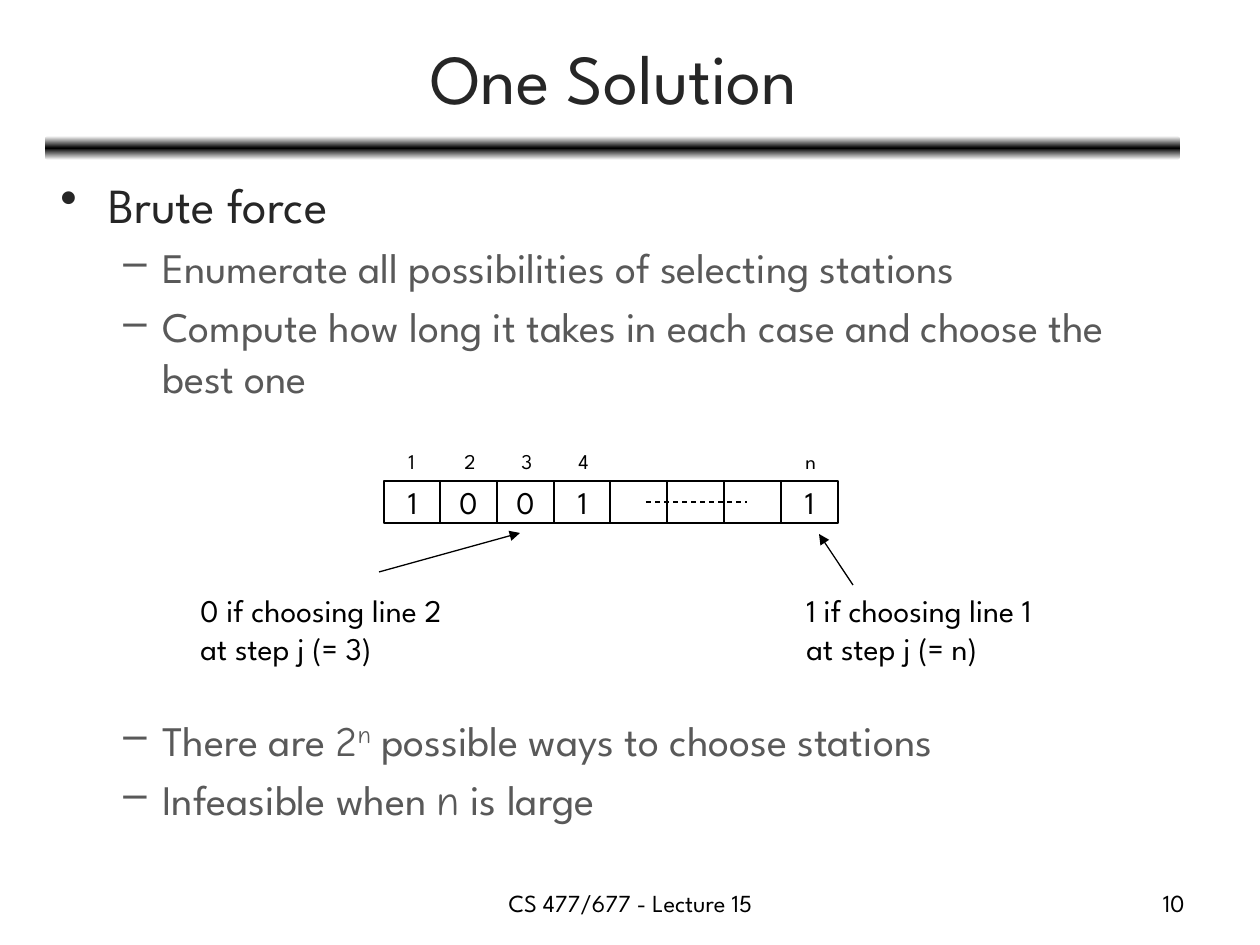
from lxml.etree import SubElement
from pptx import Presentation
from pptx.dml.color import RGBColor
from pptx.enum.dml import MSO_LINE
from pptx.enum.shapes import MSO_CONNECTOR, MSO_SHAPE
from pptx.enum.text import MSO_ANCHOR, PP_ALIGN
from pptx.oxml.ns import qn
from pptx.util import Emu, Pt

COLORS = {"ink": "000000", "dark": "262626", "gray": "595959", "paper": "FFFFFF"}
MAIN, ALT = "League Spartan", "Comic Neue"


def px(n):
    return Emu(round(n * 914400 / 126))


def write(frame, paras, size, color="ink", align=PP_ALIGN.LEFT, anchor=MSO_ANCHOR.TOP):
    """Fill a frame; each paragraph is a list of (text, font, baseline) runs."""
    for key, value in {"word_wrap": True, "vertical_anchor": anchor}.items():
        setattr(frame, key, value)
    for i, runs in enumerate(paras):
        para = frame.add_paragraph() if i else frame.paragraphs[0]
        para.alignment = align
        for text, font, base in runs:
            run = para.add_run()
            run.text = text
            for key, value in {"name": font, "size": Pt(size)}.items():
                setattr(run.font, key, value)
            run.font.color.rgb = RGBColor.from_string(COLORS[color])
            if base:
                run.font._element.set("baseline", str(base))


deck = Presentation()
deck.slide_width, deck.slide_height = px(1260), px(945)
slide = deck.slides.add_slide(deck.slide_layouts[6])
shapes = slide.shapes

# Rule under the title
rule = shapes.add_shape(MSO_SHAPE.ROUNDED_RECTANGLE, px(45), px(136), px(1135), px(24))
rule.shadow.inherit = False
rule.line.fill.background()
rule.fill.gradient()
rule.fill.gradient_angle = 90
stops = rule.fill._fill._gradFill.find(qn("a:gsLst"))
for stop in list(stops):
    stops.remove(stop)
for pos, name in ((0, "paper"), (50000, "ink"), (100000, "paper")):
    stop = SubElement(stops, qn("a:gs"), pos=str(pos))
    SubElement(stop, qn("a:srgbClr"), val=COLORS[name])

# Title, footer and page number
for text, left, top, width, height, size, align, anchor in (
    ("One Solution", 47, 14, 1134, 125, 40, PP_ALIGN.CENTER, MSO_ANCHOR.MIDDLE),
    ("CS 477/677 - Lecture 15", 431, 882, 399, 44, 14, PP_ALIGN.CENTER, MSO_ANCHOR.TOP),
    ("10", 903, 882, 294, 44, 14, PP_ALIGN.RIGHT, MSO_ANCHOR.TOP),
):
    box = shapes.add_textbox(px(left), px(top), px(width), px(height))
    color = "dark" if size == 40 else "ink"
    write(box.text_frame, [[(text, MAIN, 0)]], size, color, align, anchor)

# Bulleted text above and below the diagram
levels = {
    0: {"mark": "•", "left": 48, "hang": 48, "size": 28, "color": "dark"},
    1: {"mark": "–", "left": 102, "hang": 39, "size": 24, "color": "gray"},
}
blocks = (
    (168, 250, (
        (0, [("Brute force", MAIN, 0)]),
        (1, [("Enumerate all possibilities of selecting stations", MAIN, 0)]),
        (1, [("Compute how long it takes in each case and choose the best one", MAIN, 0)]),
    )),
    (708, 130, (
        (1, [("There are ", MAIN, 0), ("2", ALT, 0), ("n", ALT, 30000),
             (" possible ways to choose stations", MAIN, 0)]),
        (1, [("Infeasible when ", MAIN, 0), ("n", ALT, 0), (" is large", MAIN, 0)]),
    )),
)
for top, height, items in blocks:
    frame = shapes.add_textbox(px(48), px(top), px(1134), px(height)).text_frame
    frame.word_wrap = True
    for i, (level, runs) in enumerate(items):
        style = levels[level]
        para = frame.add_paragraph() if i else frame.paragraphs[0]
        props = para._p.get_or_add_pPr()
        props.set("marL", str(px(style["left"])))
        props.set("indent", str(-px(style["hang"])))
        SubElement(props, qn("a:buChar"), char=style["mark"])
        para.level = level
        para.space_before = Pt(5 if i else 0)
        for text, font, base in runs:
            run = para.add_run()
            run.text = text
            for key, value in {"name": font, "size": Pt(style["size"])}.items():
                setattr(run.font, key, value)
            run.font.color.rgb = RGBColor.from_string(COLORS[style["color"]])
            if base:
                run.font._element.set("baseline", str(base))

# Row of cells with an index above each filled one
cells = (("1", "1"), ("2", "0"), ("3", "0"), ("4", "1"),
         ("", ""), ("", ""), ("", ""), ("n", "1"))
for i, (index, bit) in enumerate(cells):
    left = 384 + 397 * i // 7
    cell = shapes.add_shape(MSO_SHAPE.RECTANGLE, px(left), px(481), px(57), px(42))
    cell.shadow.inherit = False
    cell.fill.solid()
    cell.fill.fore_color.rgb = RGBColor.from_string(COLORS["paper"])
    cell.line.color.rgb = RGBColor.from_string(COLORS["ink"])
    cell.line.width = Pt(1)
    if bit:
        write(cell.text_frame, [[(bit, MAIN, 0)]], 18,
              align=PP_ALIGN.CENTER, anchor=MSO_ANCHOR.MIDDLE)
        label = shapes.add_textbox(px(left + 12), px(442), px(38), px(38))
        write(label.text_frame, [[(index, MAIN, 0)]], 12)

# Notes on the two choices
for left, lines in (
    (188, ("0 if choosing line 2", "at step j (= 3)")),
    (794, ("1 if choosing line 1", "at step j (= n)")),
):
    note = shapes.add_textbox(px(left), px(585), px(315), px(89))
    write(note.text_frame, [[(line, MAIN, 0)] for line in lines], 18)

# Dashed ellipsis and arrows
for x1, y1, x2, y2, arrow in (
    (646, 502, 747, 502, False),
    (853, 585, 819, 534, True),
    (379, 572, 520, 533, True),
):
    link = shapes.add_connector(MSO_CONNECTOR.STRAIGHT, px(x1), px(y1), px(x2), px(y2))
    link.line.color.rgb = RGBColor.from_string(COLORS["ink"])
    link.line.width = Pt(0.75)
    if arrow:
        SubElement(link.line._get_or_add_ln(), qn("a:tailEnd"), type="triangle")
    else:
        link.line.dash_style = MSO_LINE.DASH
    SubElement(link._element.spPr, qn("a:effectLst"))

deck.save("out.pptx")
